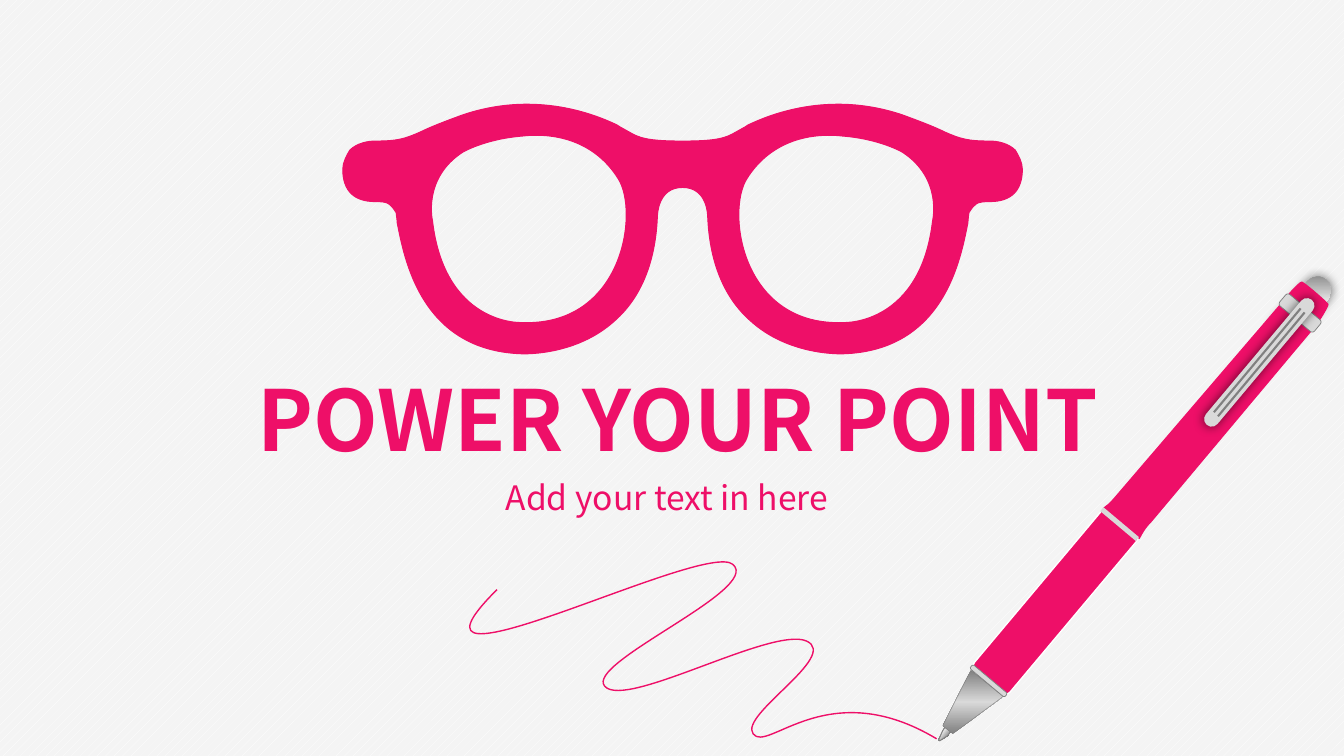
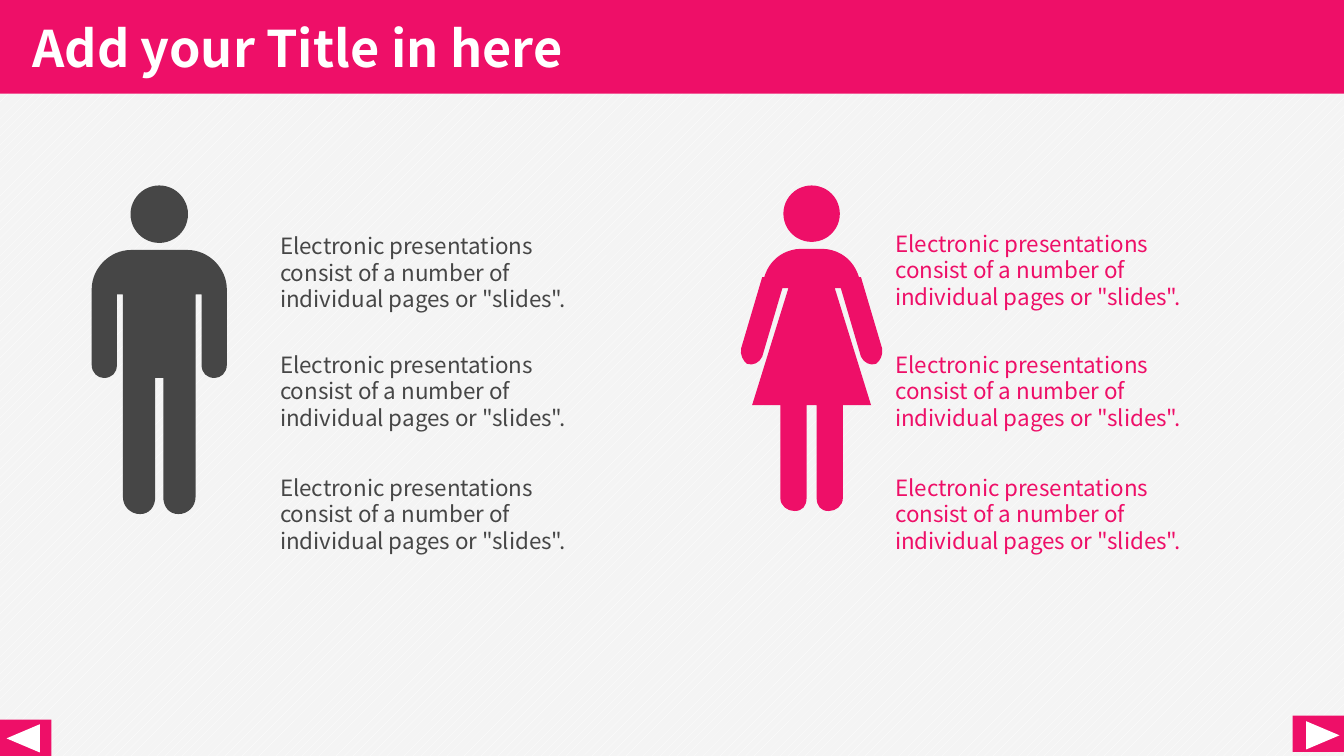
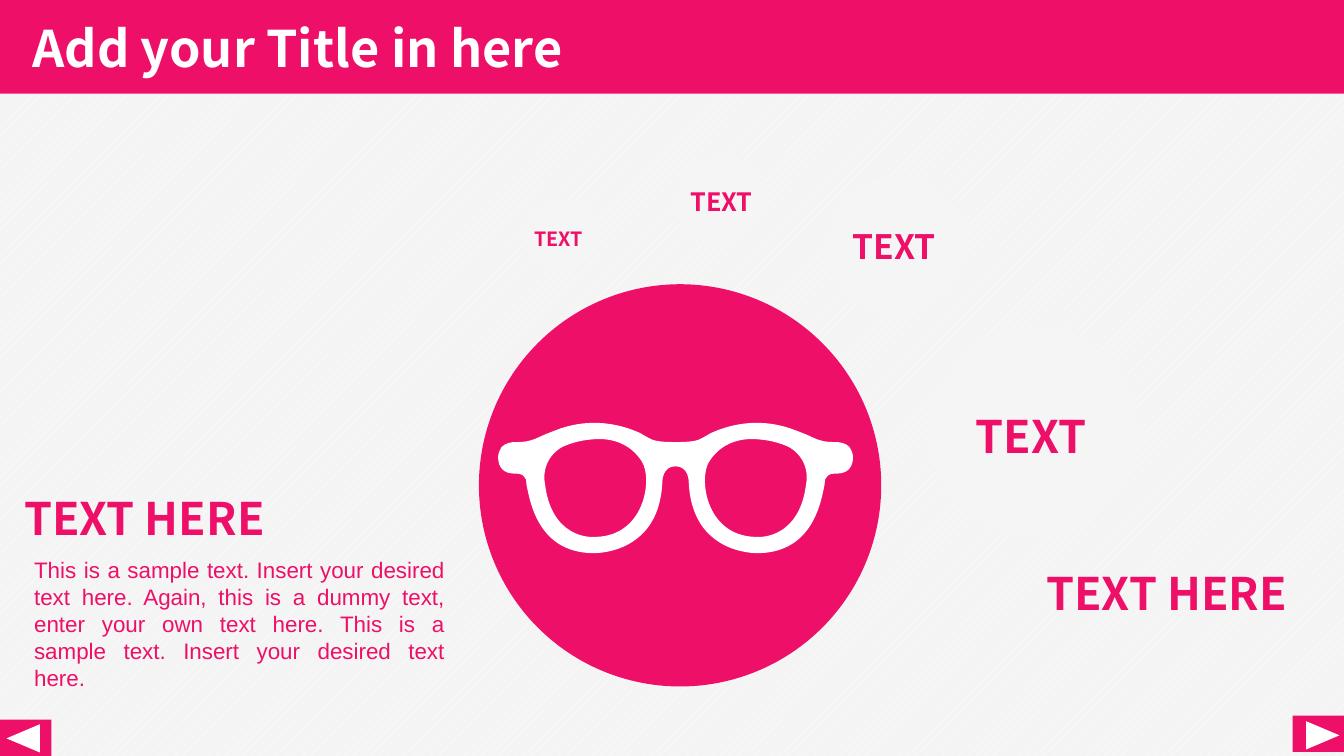
from lxml import etree
from pptx import Presentation
from pptx.dml.color import RGBColor
from pptx.enum.dml import MSO_PATTERN
from pptx.enum.shapes import MSO_CONNECTOR, MSO_SHAPE
from pptx.enum.text import MSO_ANCHOR, MSO_AUTO_SIZE, PP_ALIGN
from pptx.oxml.ns import qn
from pptx.util import Inches, Pt

PINK = RGBColor(0xEE, 0x0F, 0x68)
WHITE = RGBColor(0xFF, 0xFF, 0xFF)
PAPER = RGBColor(0xF4, 0xF4, 0xF4)
HALO = RGBColor(0xF5, 0xF5, 0xF5)
CHARCOAL = RGBColor(0x46, 0x46, 0x46)
SILVER = RGBColor(0xD9, 0xD9, 0xD9)
STEEL = RGBColor(0x80, 0x80, 0x80)
SOOT = RGBColor(0x26, 0x26, 0x26)
BLACK = RGBColor(0, 0, 0)

RECTANGLE = MSO_SHAPE.RECTANGLE
ROUNDED = MSO_SHAPE.ROUNDED_RECTANGLE
ELLIPSE = MSO_SHAPE.OVAL
TRIANGLE = MSO_SHAPE.ISOSCELES_TRIANGLE
STRAIGHT = MSO_CONNECTOR.STRAIGHT
LEFT, CENTER, JUSTIFY = PP_ALIGN.LEFT, PP_ALIGN.CENTER, PP_ALIGN.JUSTIFY
TOP, MIDDLE = MSO_ANCHOR.TOP, MSO_ANCHOR.MIDDLE
FIT_SHAPE, NO_FIT = MSO_AUTO_SIZE.SHAPE_TO_FIT_TEXT, MSO_AUTO_SIZE.NONE
DOTTED = MSO_PATTERN.PERCENT_20

FONT = "Noto Sans CJK SC"
BODY_FONT = "Arial"
PAGE_WIDTH, PAGE_HEIGHT = 13.33, 7.5
PEN_TILT = 310

GLASSES_WIDTH, GLASSES_AXIS = 6.74, 3.37
GLASSES_HALF = [
    (3.37, 0.51), (3.03, 0.51, 2.94, 0.48, 2.84, 0.42), (2.75, 0.37), (2.72, 0.35),
    (2.53, 0.26, 1.93, 0, 1.19, 0.25), (1, 0.32, 0.87, 0.37, 0.77, 0.42),
    (0.61, 0.49, 0.54, 0.51, 0.32, 0.51), (0.25, 0.51, 0.14, 0.53, 0.07, 0.6),
    (0.04, 0.65, 0, 0.72, 0, 0.79), (0, 1, 0.11, 1.11, 0.32, 1.11),
    (0.46, 1.11, 0.47, 1.13, 0.53, 1.22), (0.53, 1.23, 0.54, 1.29, 0.54, 1.32),
    (0.61, 1.67, 0.77, 2.59, 1.78, 2.62), (1.8, 2.62, 2.32, 2.64, 2.7, 2.29),
    (2.96, 2.06, 3.1, 1.71, 3.12, 1.27), (3.12, 1.23, 3.13, 0.97, 3.37, 0.97),
]
LENS = [
    (1.76, 2.31), (1.76, 2.31, 1.01, 2.33, 0.89, 1.3), (0.89, 1.3, 0.79, 0.88, 1.19, 0.62),
    (1.19, 0.62, 1.41, 0.49, 1.78, 0.46), (2.14, 0.42, 2.51, 0.53, 2.73, 0.88),
    (2.94, 1.2, 2.79, 2.36, 1.76, 2.31),
]
MAN_AXIS = 0.67
MAN_HALF = [
    (0.67, 0.64), (0.39, 0.64), (0.18, 0.64, 0, 0.82, 0, 1.03), (0, 1.78),
    (0, 1.86, 0.06, 1.91, 0.12, 1.91), (0.2, 1.91, 0.25, 1.86, 0.25, 1.78),
    (0.25, 1.08), (0.31, 1.08), (0.31, 3.09), (0.31, 3.19, 0.39, 3.26, 0.48, 3.26),
    (0.57, 3.26, 0.63, 3.19, 0.63, 3.09), (0.63, 1.91), (0.67, 1.91),
]
WOMAN_AXIS = 0.71
WOMAN_HALF = [
    (0.71, 0.63), (0.59, 0.63), (0.51, 0.63, 0.31, 0.68, 0.24, 0.91), (0.22, 0.91),
    (0.01, 1.62), (0, 1.68, 0.03, 1.74, 0.07, 1.77), (0.13, 1.79, 0.19, 1.76, 0.22, 1.7),
    (0.42, 1.02), (0.48, 1.02), (0.12, 2.18), (0.4, 2.18), (0.4, 3.1),
    (0.4, 3.18, 0.47, 3.23, 0.54, 3.23), (0.62, 3.23, 0.66, 3.18, 0.66, 3.1),
    (0.66, 2.18), (0.71, 2.18),
]
SCRIBBLE = [
    (0.27, 0.28), (-0.95, 1.49, 2.33, -0.22, 2.61, 0.03), (2.9, 0.28, 1.13, 1.01, 1.34, 1.24),
    (1.55, 1.47, 3, 0.64, 3.34, 0.79), (3.67, 0.94, 2.67, 1.52, 2.81, 1.71),
    (2.95, 1.91, 3.55, 1.11, 4.63, 1.76),
]
NIB = [(0.05, 4.45), (0.07, 4.42), (0.18, 4.29), (0.24, 4.34), (0.12, 4.47),
       (0.1, 4.5), (0.02, 4.55), (0.01, 4.54)]
CONE = [(0.33, 3.85), (0.65, 4.11), (0.15, 4.48), (0.05, 4.4)]
UPPER_BARREL = [
    (3.61, 0), (3.63, 0, 3.86, 0.2, 3.87, 0.22), (3.87, 0.24, 3.79, 0.38, 3.73, 0.45),
    (2.12, 2.37), (2.05, 2.44, 2.02, 2.5, 2, 2.54), (1.65, 2.24),
    (1.71, 2.2, 1.74, 2.16, 1.8, 2.09), (3.42, 0.2), (3.48, 0.12, 3.58, 0.01, 3.61, 0),
]
SAMPLE = 'Electronic presentations consist of a number of individual pages or "slides".'
DUMMY = ("This is a sample text. Insert your desired text here. Again, this is a dummy text, "
         "enter your own text here. This is a sample text. Insert your desired text here.")


def paint(shape, fill=None, line=None, width=1):
    shape.shadow.inherit = False
    if fill is None:
        shape.fill.background()
    else:
        shape.fill.solid()
        shape.fill.fore_color.rgb = fill
    if line is None:
        shape.line.fill.background()
    else:
        shape.line.color.rgb = line
        shape.line.width = Pt(width)


def add_color(parent, color):
    return etree.SubElement(parent, qn("a:srgbClr"), val=str(color))


def paint_gradient(shape, stops, angle):
    shape.fill.gradient()
    shape.fill.gradient_angle = angle
    gradient = shape._element.spPr.find(qn("a:gradFill"))
    gradient.set("rotWithShape", "0")
    stop_list = gradient.find(qn("a:gsLst"))
    for stop in list(stop_list):
        stop_list.remove(stop)
    for position, color in stops:
        add_color(etree.SubElement(stop_list, qn("a:gs"), pos=str(position * 1000)), color)


def add_glow_shadow(shape):
    effects = shape._element.spPr.find(qn("a:effectLst"))
    shadow = etree.SubElement(effects, qn("a:outerShdw"), blurRad=str(Pt(8)), dist="0",
                              dir="0", algn="ctr", rotWithShape="0")
    etree.SubElement(add_color(shadow, BLACK), qn("a:alpha"), val="60000")


def place(shape, left, top, width, height):
    shape.left, shape.top = Inches(left), Inches(top)
    shape.width, shape.height = Inches(width), Inches(height)


def add_preset(page, kind, box, fill, line=None, width=1, turn=0, rounding=None):
    shape = page.shapes.add_shape(kind, *map(Inches, box))
    paint(shape, fill, line, width)
    shape.rotation = turn
    if rounding is not None:
        shape.adjustments[0] = rounding
    return shape


def pair_up(segment):
    return list(zip(segment[::2], segment[1::2]))


def mirror(outline, axis):
    flipped = [[(2 * axis - x, y) for x, y in pair_up(segment)] for segment in outline]
    result = [flipped[-1][-1]]
    for index in range(len(flipped) - 1, 0, -1):
        points = flipped[index][:-1][::-1] + [flipped[index - 1][-1]]
        result.append(tuple(number for point in points for number in point))
    return result


def complete(half, axis):
    return half + mirror(half, axis)[1:]


def add_outline(page, contours, left, top, scale=1, close=True):
    placed = [[[(Inches(left + x * scale), Inches(top + y * scale))
                for x, y in pair_up(segment)] for segment in contour] for contour in contours]
    builder = page.shapes.build_freeform(*placed[0][0][0])
    for index, contour in enumerate(placed):
        if index:
            builder.move_to(*contour[0][0])
        builder.add_line_segments([segment[-1] for segment in contour[1:]], close=close)
    shape = builder.convert_to_shape()
    outline = next(shape._element.spPr.iter(qn("a:path")))
    steps = [step for step in outline if step.tag != qn("a:close")]
    segments = [segment for contour in placed for segment in contour]
    for step, segment in zip(steps, segments):
        if len(segment) == 3:
            curve = etree.Element(qn("a:cubicBezTo"))
            for x, y in segment:
                etree.SubElement(curve, qn("a:pt"), x=str(x - shape.left),
                                 y=str(y - shape.top))
            outline.replace(step, curve)
    return shape


def write(frame, text, size, color=PINK, bold=False, align=LEFT, font=FONT):
    frame.text = text
    para = frame.paragraphs[0]
    para.alignment = align
    para.space_before = Pt(0)
    for span in para.runs:
        span.font.name = font
        span.font.size = Pt(size)
        span.font.bold = bold
        span.font.color.rgb = color


def add_text(page, box, text, size, wrap=True, **style):
    frame = page.shapes.add_textbox(*map(Inches, box)).text_frame
    frame.word_wrap = wrap
    frame.auto_size = FIT_SHAPE
    write(frame, text, size, **style)


def fill_placeholder(shape, box, text, size, anchor=TOP, **style):
    place(shape, *box)
    frame = shape.text_frame
    frame.word_wrap = True
    frame.auto_size = NO_FIT
    frame.vertical_anchor = anchor
    write(frame, text, size, **style)


def add_glasses(page, left, top, width, fill, line=None):
    contours = [complete(GLASSES_HALF, GLASSES_AXIS), LENS, mirror(LENS, GLASSES_AXIS)]
    shape = add_outline(page, contours, left, top, width / GLASSES_WIDTH)
    paint(shape, fill, line, 0.75)


def add_pen(page, left, top):
    def part(kind, x, y, width, height, fill, line=None, weight=1, rounding=None):
        return add_preset(page, kind, (left + x, top + y, width, height), fill, line,
                          weight, PEN_TILT, rounding)

    def outline(points, fill, line, weight):
        shape = add_outline(page, [points], left, top)
        paint(shape, fill, line, weight)
        return shape

    button = part(ROUNDED, 3.24, 0.13, 0.75, 0.27, SILVER, rounding=0.5)
    paint_gradient(button, [(0, STEEL), (51, WHITE), (100, STEEL)], 90)
    add_glow_shadow(button)
    nib = outline(NIB, STEEL, STEEL, 0.75)
    paint_gradient(nib, [(0, SOOT), (36, STEEL), (65, WHITE), (80, WHITE), (100, SOOT)], 140)
    part(ROUNDED, 0.14, 2.94, 2.06, 0.46, PINK, WHITE, rounding=0.11)
    cone = outline(CONE, SILVER, STEEL, 0.25)
    paint_gradient(cone, [(0, STEEL), (50, SILVER), (100, STEEL)], 90)
    outline(UPPER_BARREL, PINK, PINK, 1)
    part(RECTANGLE, 1.78, 2.17, 0.05, 0.46, SILVER)
    for x, y, width, rounding in ((0.48, 3.73, 0.05, 0.37), (3.52, 0.08, 0.15, 0.2)):
        part(ROUNDED, x, y, width, 0.45, SILVER, STEEL, 0.5, rounding)
    add_glow_shadow(part(ROUNDED, 2.38, 0.72, 1.62, 0.15, SILVER, rounding=0.5))
    for x, y in ((2.78, 1.33), (2.74, 1.29)):
        ends = (left + x, top + y, left + x + 0.86, top + y - 1.03)
        groove = page.shapes.add_connector(STRAIGHT, *map(Inches, ends))
        groove.line.color.rgb = STEEL
        groove.line.width = Pt(1.5)
        etree.SubElement(groove._element.spPr, qn("a:effectLst"))


def add_person(page, left, top, half, axis, head, color):
    add_preset(page, ELLIPSE, (left + axis - head / 2, top, head, head), color)
    paint(add_outline(page, [complete(half, axis)], left, top), color)


def add_samples(page, left, tops, color):
    for top in tops:
        add_text(page, (left, top, 3.41, 0.91), SAMPLE, 16, color=color)


def add_button(page, left, top, arrow_left, arrow_top, turn):
    add_preset(page, RECTANGLE, (left, top, 0.51, 0.36), PINK)
    add_preset(page, TRIANGLE, (left + arrow_left, top + arrow_top, 0.28, 0.33), WHITE,
               turn=turn)


def add_content_page(deck):
    page = deck.slides.add_slide(deck.slide_layouts[5])
    add_button(page, 0, 7.14, 0.09, 0.02, 270)
    add_button(page, 12.82, 7.1, 0.16, 0.03, 90)
    title = page.shapes.title
    fill_placeholder(title, (0, 0, PAGE_WIDTH, 0.93), "Add your Title in here", 36,
                     anchor=MIDDLE, color=WHITE, bold=True)
    title.text_frame.margin_left = Inches(0.32)
    paint(title, PINK)
    return page


def add_cover(deck):
    page = deck.slides.add_slide(deck.slide_layouts[0])
    fill_placeholder(page.shapes.title, (2.45, 3.6, 9.6, 1.11), "POWER YOUR POINT", 60,
                     bold=True)
    fill_placeholder(page.placeholders[1], (2.83, 4.68, 7.57, 0.5), "Add your text in here",
                     24, align=CENTER)
    add_glasses(page, 3.4, 0.89, GLASSES_WIDTH, PINK, PINK)
    paint(add_outline(page, [SCRIBBLE], 4.66, 5.57, close=False), line=PINK)
    add_pen(page, 9.3, 2.8)


def add_people_page(deck):
    page = add_content_page(deck)
    add_samples(page, 2.68, (2.25, 3.43, 4.65), CHARCOAL)
    add_samples(page, 8.78, (2.23, 3.43, 4.65), PINK)
    add_person(page, 0.91, 1.84, MAN_HALF, MAN_AXIS, 0.57, CHARCOAL)
    add_person(page, 7.34, 1.84, WOMAN_HALF, WOMAN_AXIS, 0.56, PINK)


def add_circle_page(deck):
    page = add_content_page(deck)
    add_preset(page, ELLIPSE, (4.75, 2.82, 3.99, 3.99), PINK)
    for left, top, size in ((8.2, 1.75, 1.38), (9.22, 3.25, 2.07),
                            (6.7, 1.54, 0.89), (5.21, 1.98, 0.71)):
        add_preset(page, ELLIPSE, (left, top, size, size), HALO)
    labels = [
        ((10.28, 5.56, 2.68, 0.64), "TEXT HERE", 32),
        ((9.58, 4.01, 1.35, 0.64), "TEXT", 32),
        ((8.36, 2.19, 1.06, 0.5), "TEXT", 24),
        ((6.75, 1.8, 0.85, 0.4), "TEXT", 18),
        ((5.2, 2.2, 0.7, 0.34), "TEXT", 14),
        ((0.14, 4.82, 2.68, 0.64), "TEXT HERE", 32),
    ]
    for box, text, size in labels:
        add_text(page, box, text, size, wrap=False, bold=True)
    add_glasses(page, 4.94, 4.12, 3.52, WHITE)
    add_text(page, (0.24, 5.47, 4.27, 1.18), DUMMY, 16, align=JUSTIFY, font=BODY_FONT)


def main():
    deck = Presentation()
    deck.slide_width, deck.slide_height = Inches(PAGE_WIDTH), Inches(PAGE_HEIGHT)
    backdrop = deck.slide_master.background.fill
    backdrop.patterned()
    backdrop.pattern = DOTTED
    backdrop.fore_color.rgb = WHITE
    backdrop.back_color.rgb = PAPER
    add_cover(deck)
    add_people_page(deck)
    add_circle_page(deck)
    deck.save("out.pptx")


if __name__ == "__main__":
    main()
